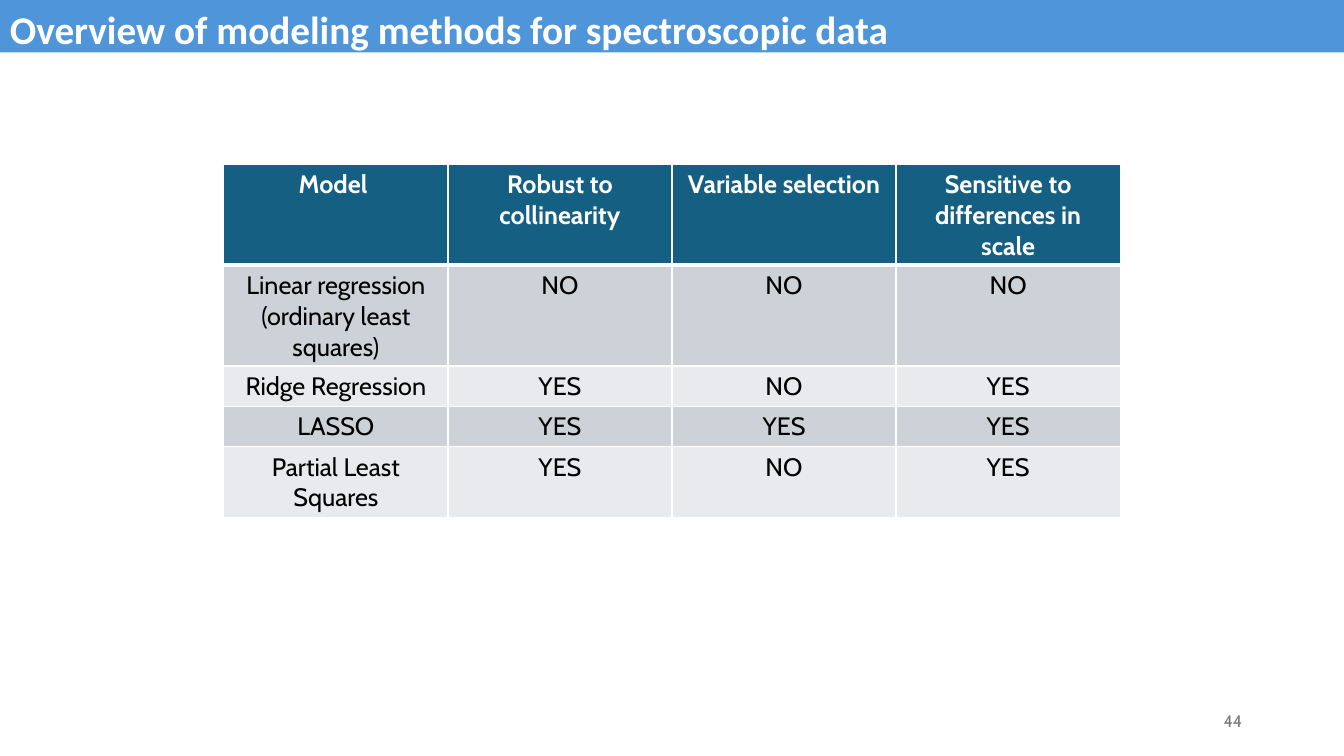
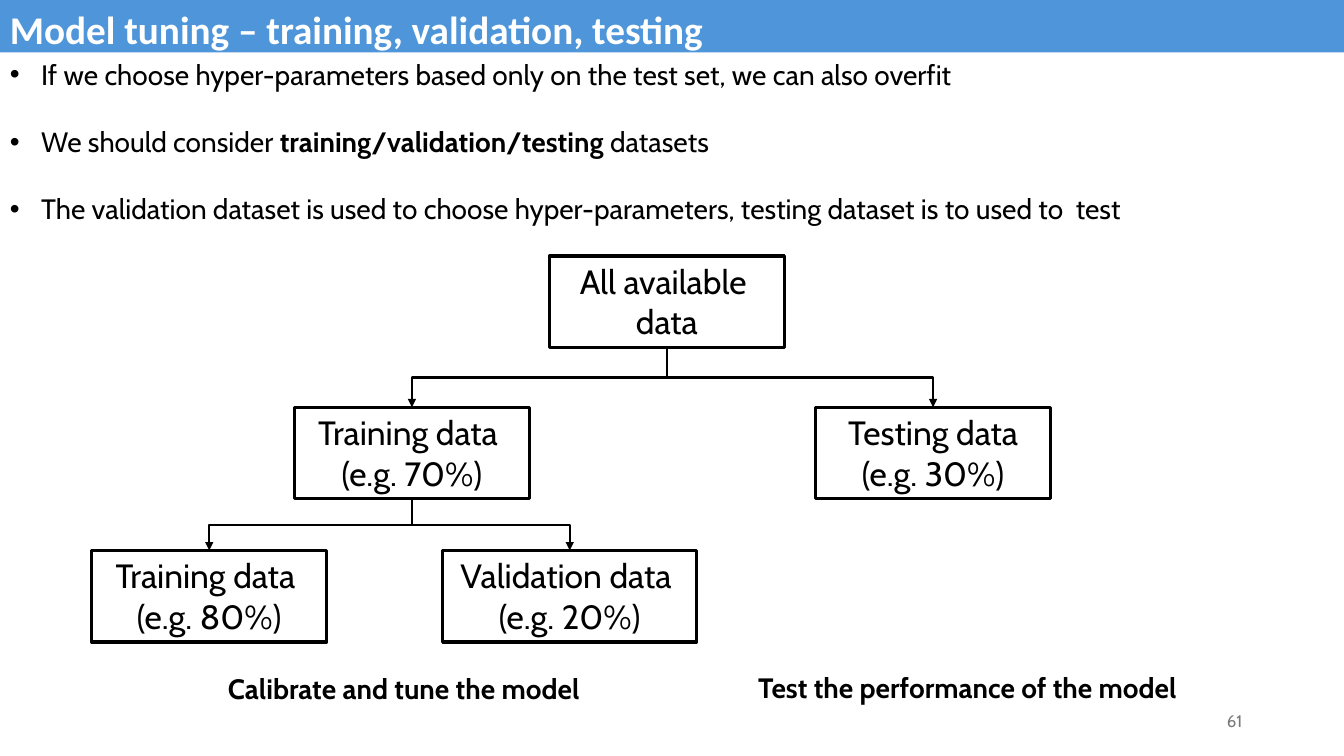
"""Builds two slides: a table of modeling methods and a tree of data splits."""
from pptx import Presentation
from pptx import util as u
from pptx.dml import color
from pptx.enum import shapes, text
from pptx.oxml import ns, xmlchemy as xml

WHITE = color.RGBColor(0xFF, 0xFF, 0xFF)
BLACK = color.RGBColor(0x00, 0x00, 0x00)
GREY = color.RGBColor(0x79, 0x79, 0x79)
BLUE = color.RGBColor(0x4E, 0x95, 0xD9)
TEAL = color.RGBColor(0x15, 0x60, 0x82)
DARK = color.RGBColor(0xCC, 0xD2, 0xD8)
LIGHT = color.RGBColor(0xE8, 0xEA, 0xED)

MID, LEFT, RIGHT = text.PP_ALIGN.CENTER, text.PP_ALIGN.LEFT, text.PP_ALIGN.RIGHT
TITLE = {"name": "Calibri", "size": u.Pt(28), "bold": True}
BODY = {"name": "Cabin", "size": u.Pt(20)}
CELL = {"name": "Cabin", "size": u.Pt(18), "bold": False}
HEAD = {**CELL, "bold": True}
NODE = {"name": "Cabin", "size": u.Pt(24)}
NOTE = {**BODY, "bold": True}
PAGE = {"name": "Cabin", "size": u.Pt(12)}


def write(frame, lines, form, ink=BLACK, align=MID):
    """Fill a frame, one paragraph a line; parts between bars are bold."""
    frame.word_wrap = True
    for row, line in enumerate(lines):
        para = frame.add_paragraph() if row else frame.paragraphs[0]
        para.alignment = align
        for part, words in enumerate(line.split("|")):
            run = para.add_run()
            run.text = words
            for key, value in form.items():
                setattr(run.font, key, value)
            if part % 2:
                run.font.bold = True
            run.font.color.rgb = ink


def block(slide, left, top, wide, high):
    """Add a plain rectangle with its text at the top."""
    rect = slide.shapes.add_shape(
        shapes.MSO_SHAPE.RECTANGLE,
        u.Inches(left), u.Inches(top), u.Inches(wide), u.Inches(high))
    rect.shadow.inherit = False
    rect.text_frame.vertical_anchor = text.MSO_ANCHOR.TOP
    return rect


deck = Presentation()
deck.slide_width, deck.slide_height = u.Inches(13.33), u.Inches(7.5)

heads = [("Overview of modeling methods for spectroscopic data", "44"),
         ("Model tuning – training, validation, testing", "61")]
for title, page in heads:
    slide = deck.slides.add_slide(deck.slide_layouts[6])
    num = slide.shapes.add_textbox(
        u.Inches(9.42), u.Inches(6.95), u.Inches(3), u.Inches(0.4))
    num.text_frame.vertical_anchor = text.MSO_ANCHOR.MIDDLE
    write(num.text_frame, [page], PAGE, GREY, RIGHT)
    band = block(slide, 0, 0, 13.33, 0.52)
    band.fill.solid()
    band.fill.fore_color.rgb = BLUE
    band.line.fill.background()
    write(band.text_frame, [title], TITLE, WHITE, LEFT)
first, second = deck.slides

rows = [
    ["Model ", "Robust to collinearity", "Variable selection",
     "Sensitive to differences in scale"],
    ["Linear regression (ordinary least squares)", "NO", "NO", "NO"],
    ["Ridge Regression", "YES", "NO", "YES"],
    ["LASSO", "YES", "YES", "YES"],
    ["Partial Least Squares", "YES", "NO", "YES"],
]
highs = [1, 1, 0.4, 0.4, 0.7]
grid = first.shapes.add_table(
    len(rows), 4, u.Inches(2.22), u.Inches(1.63),
    u.Inches(8.89), u.Inches(sum(highs))).table
for r, (row, high) in enumerate(zip(rows, highs)):
    grid.rows[r].height = u.Inches(high)
    for c, words in enumerate(row):
        cell = grid.cell(r, c)
        write(cell.text_frame, [words], CELL if r else HEAD, BLACK if r else WHITE)
        props = cell._tc.get_or_add_tcPr()
        for side in "LRTB":
            thick = 3 if (r, side) in [(0, "B"), (1, "T")] else 1
            edge = xml.OxmlElement("a:ln" + side)
            edge.set("w", str(u.Pt(thick)))
            fill = xml.OxmlElement("a:solidFill")
            tint = xml.OxmlElement("a:srgbClr")
            tint.set("val", str(WHITE))
            fill.append(tint)
            edge.append(fill)
            props.append(edge)
        cell.fill.solid()
        cell.fill.fore_color.rgb = (DARK if r % 2 else LIGHT) if r else TEAL

points = [
    "If we choose hyper-parameters based only on the test set, we can also overfit",
    "We should consider |training/validation/testing |datasets",
    "The validation dataset is used to choose hyper-parameters, "
    "testing dataset is to used to  test",
]
list_box = second.shapes.add_textbox(0, u.Inches(0.52), u.Inches(13.33), u.Inches(1.78))
write(list_box.text_frame, points, BODY, BLACK, LEFT)
for row, para in enumerate(list_box.text_frame.paragraphs):
    if row:
        para.space_before = u.Pt(24)
    props = para._p.get_or_add_pPr()
    props.set("marL", str(u.Inches(0.31)))
    props.set("indent", str(-u.Inches(0.31)))
    for tag, key, value in [("a:buFont", "typeface", "Arial"), ("a:buChar", "char", "•")]:
        mark = xml.OxmlElement(tag)
        mark.set(key, value)
        props.append(mark)

nodes = {
    "all": (5.45, 2.54, 2.33, ["All available ", "data"]),
    "test": (8.09, 4.04, 2.33, ["Testing data", "(e.g. 30%)"]),
    "train": (2.92, 4.04, 2.33, ["Training data ", "(e.g. 70%)"]),
    "fit": (0.91, 5.46, 2.33, ["Training data ", "(e.g. 80%)"]),
    "check": (4.39, 5.46, 2.52, ["Validation data ", "(e.g. 20%)"]),
}
boxes = {}
for name, (left, top, wide, lines) in nodes.items():
    box = boxes[name] = block(second, left, top, wide, 0.91)
    box.fill.background()
    box.line.color.rgb = BLACK
    box.line.width = u.Pt(2.25)
    write(box.text_frame, lines, NODE)

for start, end in [("all", "train"), ("all", "test"), ("train", "fit"), ("train", "check")]:
    top, low = boxes[start], boxes[end]
    x1, y1 = top.left + top.width // 2, top.top + top.height
    x2, y2 = low.left + low.width // 2, low.top
    link = second.shapes.add_connector(shapes.MSO_CONNECTOR.ELBOW, x1, y1, x2, y2)
    link.begin_connect(top, 2)
    link.end_connect(low, 0)
    drop, span = y2 - y1, abs(x2 - x1)
    frame = {"left": (x1 + x2 - drop) // 2, "top": (y1 + y2 - span) // 2,
             "width": drop, "height": span}
    for key, value in frame.items():
        setattr(link, key, value)
    right = x2 > x1
    turn = link._element.spPr.find(ns.qn("a:xfrm"))
    turn.set("rot", str((270 if right else 90) * 60000))
    turn.set("flipH", "1" if right else "0")
    turn.set("flipV", "0")
    link.line.color.rgb = BLACK
    link.line.width = u.Pt(1.5)
    tip = xml.OxmlElement("a:tailEnd")
    tip.set("type", "triangle")
    link.line._get_or_add_ln().append(tip)
    link._element.spPr.append(xml.OxmlElement("a:effectLst"))

for left, top, words in [(1.18, 6.61, "Calibrate and tune the model"),
                         (6.77, 6.6, "Test the performance of the model")]:
    note = second.shapes.add_textbox(
        u.Inches(left), u.Inches(top), u.Inches(5.65), u.Inches(0.44))
    write(note.text_frame, [words], NOTE)

deck.save("out.pptx")
